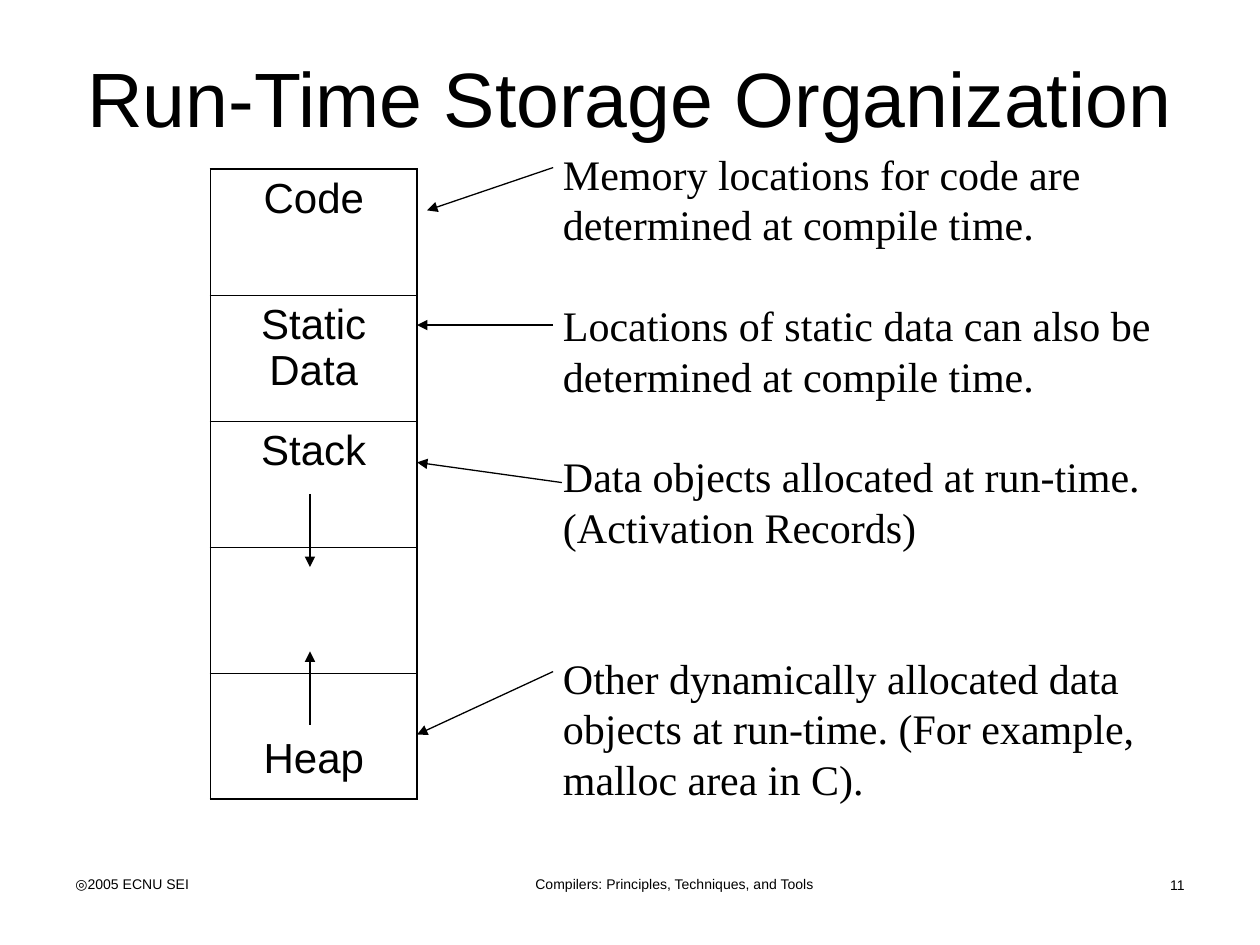
from dataclasses import dataclass

from lxml.etree import SubElement
from pptx import Presentation
from pptx.dml.color import RGBColor
from pptx.enum.shapes import MSO_CONNECTOR as CONN
from pptx.enum.text import MSO_ANCHOR as ANCHOR, PP_ALIGN as ALIGN
from pptx.oxml.ns import qn
from pptx.util import Inches, Pt


@dataclass(frozen=True)
class Theme:
    ink: RGBColor = RGBColor(0, 0, 0)
    sans: str = "Arial"
    serif: str = "Times New Roman"
    title: float = 44
    body: float = 24
    footer: float = 8
    leading: float = 28.8
    arrow: float = 0.75
    outer: float = 1.08
    inner: float = 0.45


@dataclass(frozen=True)
class Label:
    text: str
    left: float
    top: float
    width: float
    height: float
    size: float
    align: ALIGN
    anchor: ANCHOR = ANCHOR.TOP


@dataclass(frozen=True)
class Arrow:
    x1: float
    y1: float
    x2: float
    y2: float


@dataclass(frozen=True)
class Note:
    lines: tuple[str, ...]
    blank_lines_above: int = 1


T = Theme()

TITLE = Label("Run-Time Storage Organization", 0.5, 0.3, 9, 0.93,
              T.title, ALIGN.CENTER, ANCHOR.MIDDLE)
FOOTERS = [
    Label("Compilers: Principles, Techniques, and Tools", 3.27, 6.9, 4.17, 0.28,
          T.footer, ALIGN.CENTER),
    Label("11", 8.15, 6.91, 1.35, 0.23, T.footer, ALIGN.RIGHT),
    Label("◎2005 ECNU SEI", 0.5, 6.9, 2.33, 0.31, T.footer, ALIGN.LEFT),
]
SEGMENTS = ["Code", "Static Data", "Stack", "", "Heap"]
MEM_LEFT, MEM_TOP, MEM_WIDTH, ROW = 1.67, 1.34, 1.64, 1.0
MEM_RIGHT = MEM_LEFT + MEM_WIDTH
GROWTH_X, NOTE_X = 2.46, 4.39
GROWTH_ARROWS = [
    Arrow(GROWTH_X, 3.92, GROWTH_X, 4.5),
    Arrow(GROWTH_X, 5.75, GROWTH_X, 5.17),
]
NOTE_ARROWS = [
    Arrow(NOTE_X, 1.33, 3.39, 1.67),
    Arrow(NOTE_X, 2.58, MEM_RIGHT, 2.58),
    Arrow(4.46, 3.83, MEM_RIGHT, 3.67),
    Arrow(NOTE_X, 5.33, MEM_RIGHT, 5.83),
]
NOTES = [
    Note(("Memory locations for code are", "determined at compile time."), 0),
    Note(("Locations of static data can also be", "determined at compile time.")),
    Note(("Data objects allocated at run-time.", "(Activation Records)")),
    Note(("Other dynamically allocated data", "objects at run-time. (For example,",
          "malloc area in C)."), 2),
]


def style(p, font: str, size: float, align: ALIGN = ALIGN.LEFT) -> None:
    p.alignment = align
    p.font.size = Pt(size)
    for r in p.runs:
        r.font.name = font
        r.font.size = Pt(size)
        r.font.color.rgb = T.ink


def add_box(slide, left: float, top: float, width: float, height: float):
    sp = slide.shapes.add_textbox(Inches(left), Inches(top), Inches(width), Inches(height))
    tf = sp.text_frame
    tf.word_wrap = True
    return tf


def add_label(slide, label: Label) -> None:
    tf = add_box(slide, label.left, label.top, label.width, label.height)
    tf.vertical_anchor = label.anchor
    tf.text = label.text
    style(tf.paragraphs[0], T.sans, label.size, label.align)


def add_arrow(slide, a: Arrow) -> None:
    line = slide.shapes.add_connector(CONN.STRAIGHT, Inches(a.x1), Inches(a.y1),
                                      Inches(a.x2), Inches(a.y2))
    line.line.color.rgb = T.ink
    line.line.width = Pt(T.arrow)
    SubElement(line.line._get_or_add_ln(), qn("a:tailEnd"), type="triangle")
    SubElement(line._element.spPr, qn("a:effectLst"))


def set_borders(cell, widths: dict[str, float]) -> None:
    tc_pr = cell._tc.get_or_add_tcPr()
    for side, width in widths.items():
        ln = SubElement(tc_pr, qn(f"a:{side}"), w=str(int(Pt(width))))
        fill = SubElement(ln, qn("a:solidFill"))
        SubElement(fill, qn("a:srgbClr"), val=str(T.ink))


def add_memory(slide) -> None:
    count = len(SEGMENTS)
    table = slide.shapes.add_table(count, 1, Inches(MEM_LEFT), Inches(MEM_TOP),
                                   Inches(MEM_WIDTH), Inches(ROW * count)).table
    table.first_row = False
    table.horz_banding = False
    for i, name in enumerate(SEGMENTS):
        last = i == count - 1
        cell = table.cell(i, 0)
        cell.text_frame.text = name
        style(cell.text_frame.paragraphs[0], T.sans, T.body, ALIGN.CENTER)
        if last:
            cell.vertical_anchor = ANCHOR.BOTTOM
            cell.margin_bottom = Inches(0.13)
        set_borders(cell, {
            "lnL": T.outer,
            "lnR": T.outer,
            "lnT": T.outer if i == 0 else T.inner,
            "lnB": T.outer if last else T.inner,
        })
        cell.fill.background()


def add_notes(slide) -> None:
    tf = add_box(slide, 4.37, 1.13, 4.96, 5.3)
    p = tf.paragraphs[0]
    for i, note in enumerate(NOTES):
        for j, text in enumerate(note.lines):
            if i or j:
                p = tf.add_paragraph()
            p.text = text
            p.line_spacing = Pt(T.leading)
            if j == 0 and note.blank_lines_above:
                p.space_before = Pt(T.leading * note.blank_lines_above)
            style(p, T.serif, T.body)


def main() -> None:
    prs = Presentation()
    prs.slide_width, prs.slide_height = Inches(10), Inches(7.5)
    slide = prs.slides.add_slide(prs.slide_layouts[6])
    add_label(slide, TITLE)
    add_memory(slide)
    for arrow in GROWTH_ARROWS:
        add_arrow(slide, arrow)
    add_notes(slide)
    for arrow in NOTE_ARROWS:
        add_arrow(slide, arrow)
    for footer in FOOTERS:
        add_label(slide, footer)
    prs.save("out.pptx")


if __name__ == "__main__":
    main()
